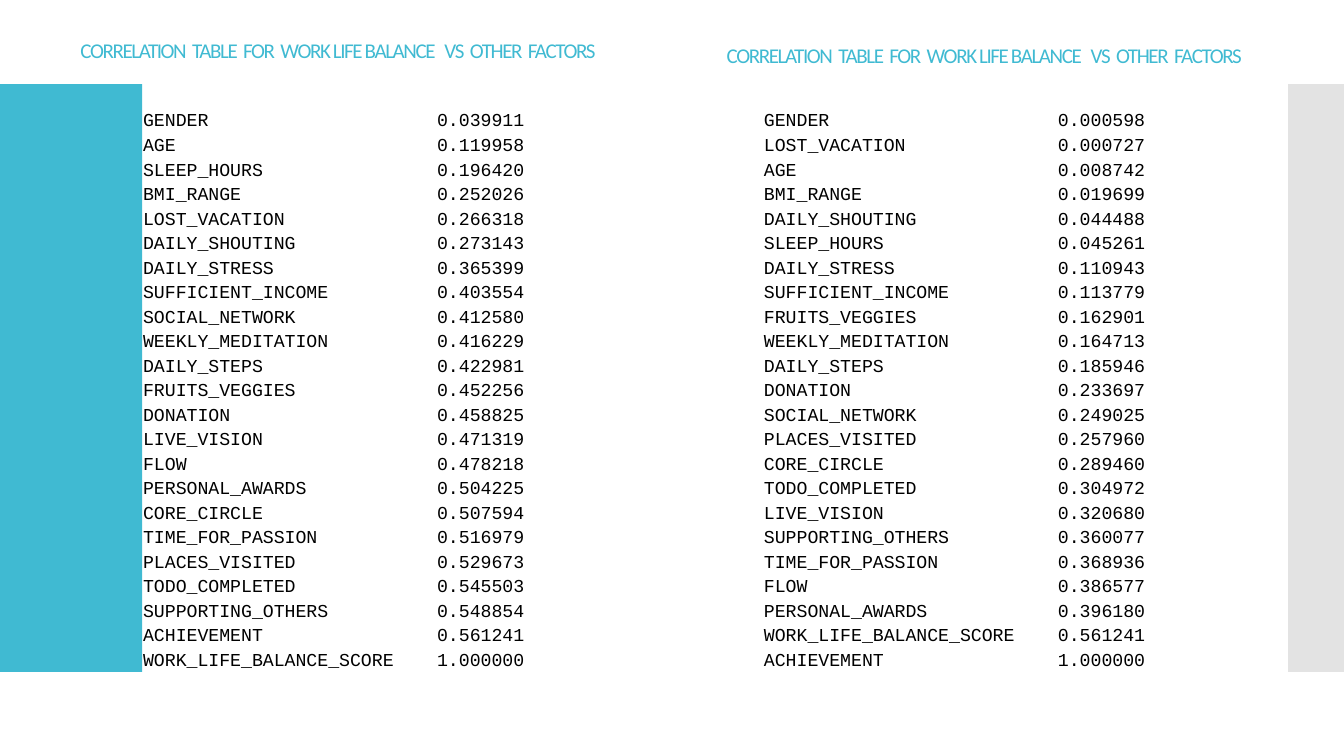
from pptx import Presentation
from pptx.dml.color import RGBColor
from pptx.enum.shapes import MSO_SHAPE
from pptx.enum.text import MSO_ANCHOR
from pptx.oxml.ns import qn
from pptx.util import Inches, Pt
from lxml import etree

RECTANGLE = MSO_SHAPE.RECTANGLE
BOTTOM = MSO_ANCHOR.BOTTOM
UNIT = Inches(7.5) / 54  # square grid: 96 columns by 54 rows
COLORS = {"teal": "40BAD2", "grey": "C8C8C8", "text": "000000"}
NO_STYLE_NO_GRID = "{2D5ABB26-0587-4C30-8999-92F81FD0307C}"
TABLE_TOP, TABLE_WIDTH, TABLE_HEIGHT = 7.7, 30, 40.32
VALUE_TAB = 21

HEADING = "CORRELATION  TABLE  FOR  WORK LIFE BALANCE   VS  OTHER  FACTORS"
BALANCE_CORRELATIONS = [
    ("GENDER", "0.039911"),
    ("AGE", "0.119958"),
    ("SLEEP_HOURS", "0.196420"),
    ("BMI_RANGE", "0.252026"),
    ("LOST_VACATION", "0.266318"),
    ("DAILY_SHOUTING", "0.273143"),
    ("DAILY_STRESS", "0.365399"),
    ("SUFFICIENT_INCOME", "0.403554"),
    ("SOCIAL_NETWORK", "0.412580"),
    ("WEEKLY_MEDITATION", "0.416229"),
    ("DAILY_STEPS", "0.422981"),
    ("FRUITS_VEGGIES", "0.452256"),
    ("DONATION", "0.458825"),
    ("LIVE_VISION", "0.471319"),
    ("FLOW", "0.478218"),
    ("PERSONAL_AWARDS", "0.504225"),
    ("CORE_CIRCLE", "0.507594"),
    ("TIME_FOR_PASSION", "0.516979"),
    ("PLACES_VISITED", "0.529673"),
    ("TODO_COMPLETED", "0.545503"),
    ("SUPPORTING_OTHERS", "0.548854"),
    ("ACHIEVEMENT", "0.561241"),
    ("WORK_LIFE_BALANCE_SCORE", "1.000000"),
]
ACHIEVEMENT_CORRELATIONS = [
    ("GENDER", "0.000598"),
    ("LOST_VACATION", "0.000727"),
    ("AGE", "0.008742"),
    ("BMI_RANGE", "0.019699"),
    ("DAILY_SHOUTING", "0.044488"),
    ("SLEEP_HOURS", "0.045261"),
    ("DAILY_STRESS", "0.110943"),
    ("SUFFICIENT_INCOME", "0.113779"),
    ("FRUITS_VEGGIES", "0.162901"),
    ("WEEKLY_MEDITATION", "0.164713"),
    ("DAILY_STEPS", "0.185946"),
    ("DONATION", "0.233697"),
    ("SOCIAL_NETWORK", "0.249025"),
    ("PLACES_VISITED", "0.257960"),
    ("CORE_CIRCLE", "0.289460"),
    ("TODO_COMPLETED", "0.304972"),
    ("LIVE_VISION", "0.320680"),
    ("SUPPORTING_OTHERS", "0.360077"),
    ("TIME_FOR_PASSION", "0.368936"),
    ("FLOW", "0.386577"),
    ("PERSONAL_AWARDS", "0.396180"),
    ("WORK_LIFE_BALANCE_SCORE", "0.561241"),
    ("ACHIEVEMENT", "1.000000"),
]


def grid(*units):
    return [round(unit * UNIT) for unit in units]


def set_font(paragraph, family, size, color):
    font = paragraph.font
    font.name, font.size = family, Pt(size)
    font.color.rgb = RGBColor.from_string(COLORS[color])


def add_band(slide, left, width, color, opacity=100):
    """Add a side band running from grid row 6 to row 48."""
    band = slide.shapes.add_shape(RECTANGLE, *grid(left, 6, width, 42))
    band.shadow.inherit = False
    band.line.fill.background()
    band.fill.solid()
    band.fill.fore_color.rgb = RGBColor.from_string(COLORS[color])
    if opacity < 100:
        tint = band.fill._xPr.find(qn("a:solidFill"))[0]
        etree.SubElement(tint, qn("a:alpha"), val=str(opacity * 1000))


def add_heading(slide, left, top):
    frame = slide.shapes.add_textbox(*grid(left, top, 42.84, 3.6)).text_frame
    frame.word_wrap = True
    frame.vertical_anchor = BOTTOM
    heading = frame.paragraphs[0]
    heading.line_spacing = 0.7
    heading.space_after = Pt(6)
    set_font(heading, "Calibri", 15, "teal")
    run = heading.add_run()
    run.text = HEADING
    run.font._element.set("spc", "-100")


def add_tab_stop(paragraph, position):
    tabs = etree.SubElement(paragraph._p.get_or_add_pPr(), qn("a:tabLst"))
    etree.SubElement(tabs, qn("a:tab"), pos=str(position), algn="l")


def fill_cell(cell, factor, value):
    cell.fill.background()
    cell.vertical_anchor = BOTTOM
    cell.margin_left = cell.margin_right = cell.margin_top = Inches(0.01)
    cell.margin_bottom = 0
    cell.text = f"{factor}\t{value}"
    line = cell.text_frame.paragraphs[0]
    add_tab_stop(line, *grid(VALUE_TAB))
    set_font(line, "Courier New", 13, "text")


def add_correlations(slide, left, correlations):
    place = grid(left, TABLE_TOP, TABLE_WIDTH, TABLE_HEIGHT)
    table = slide.shapes.add_table(len(correlations), 1, *place).table
    table.first_row = table.horz_banding = False
    table._tbl.tblPr.find(qn("a:tableStyleId")).text = NO_STYLE_NO_GRID
    for row, (factor, value) in zip(table.rows, correlations):
        fill_cell(row.cells[0], factor, value)


def main():
    presentation = Presentation()
    presentation.slide_width, presentation.slide_height = grid(96, 54)
    slide = presentation.slides.add_slide(presentation.slide_layouts[6])
    add_band(slide, 0, 10.15, "teal")
    add_band(slide, 92, 4, "grey", opacity=50)
    add_heading(slide, 5.04, 1.22)
    add_correlations(slide, 10.15, BALANCE_CORRELATIONS)
    add_correlations(slide, 54.5, ACHIEVEMENT_CORRELATIONS)
    add_heading(slide, 51.2, 1.58)
    presentation.save("out.pptx")


if __name__ == "__main__":
    main()
